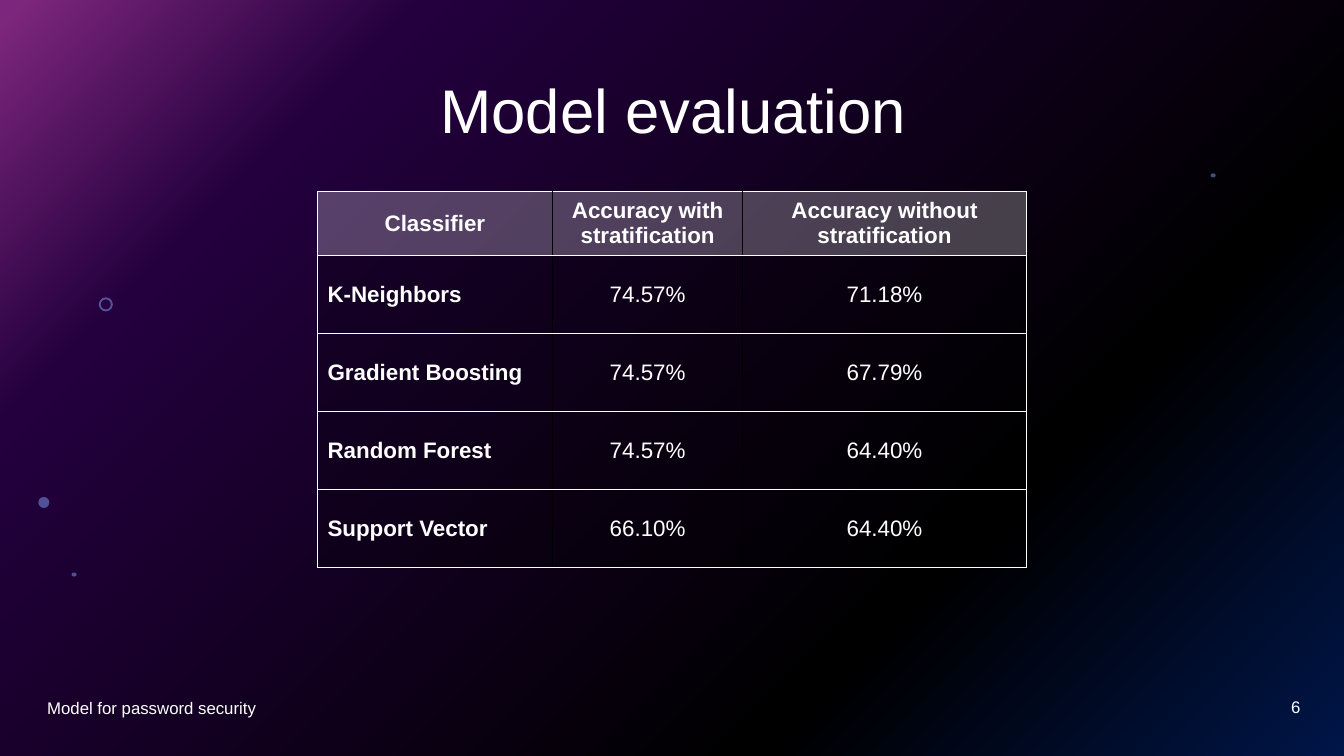
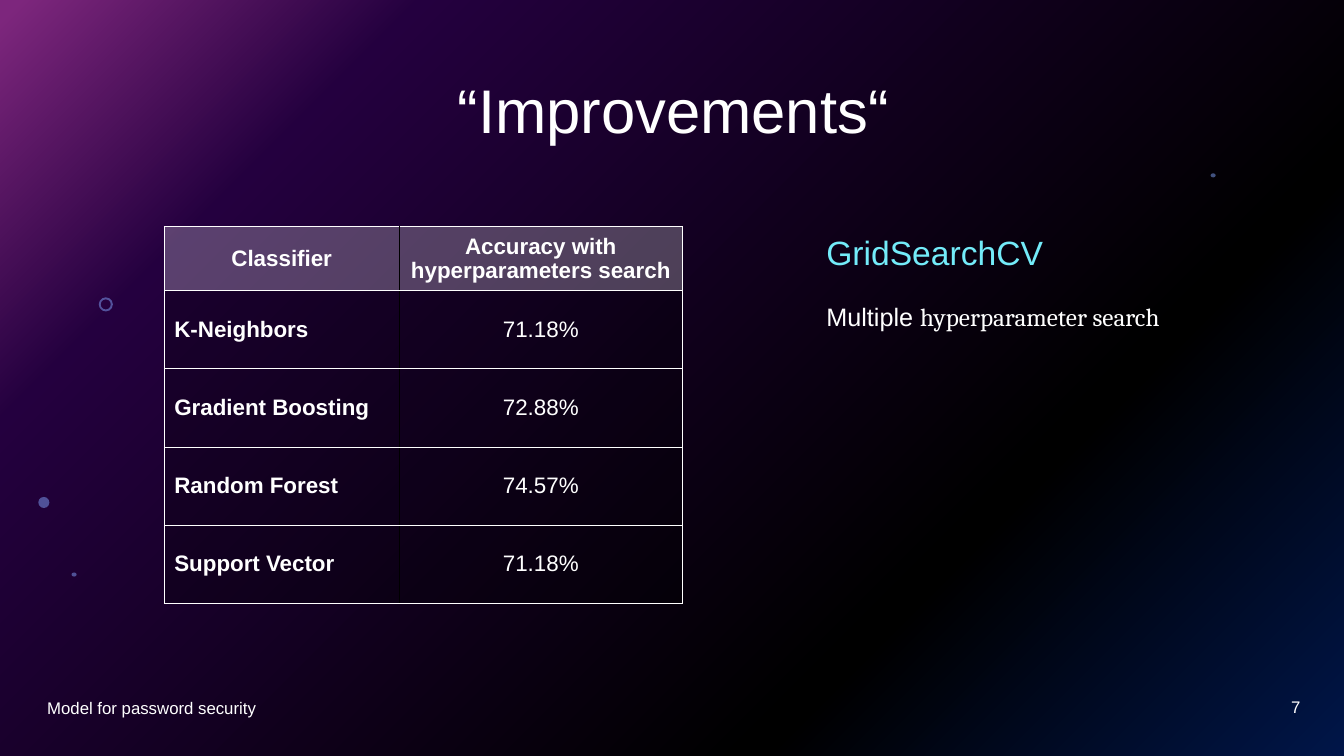
from lxml import etree
from pptx import Presentation
from pptx.dml.color import RGBColor
from pptx.enum.shapes import MSO_SHAPE
from pptx.enum.text import MSO_ANCHOR, PP_ALIGN
from pptx.oxml.ns import qn
from pptx.util import Inches, Pt

LEFT, CENTER, RIGHT = PP_ALIGN.LEFT, PP_ALIGN.CENTER, PP_ALIGN.RIGHT
MIDDLE, TOP = MSO_ANCHOR.MIDDLE, MSO_ANCHOR.TOP
RECTANGLE, OVAL, DONUT = MSO_SHAPE.RECTANGLE, MSO_SHAPE.OVAL, MSO_SHAPE.DONUT

COLORS = {
    "white": "FFFFFF", "black": "000000", "accent": "73EBF9", "dot": "83A7FD",
    "pink": "FC4EFB", "purple": "4A027F", "navy": "022D94",
}
FONT, SERIF = "Arial", "Cambria"

# Grid: ten columns and ten rows to the inch
UNIT = Inches(0.1)
COLUMNS, ROWS = 133.33, 75
HEADER_ROW, BODY_ROW = 6, 7.75
NAME_COL, NARROW_COL, WIDE_COL = 23.3, 18.9, 28.1

BACKGROUND_STOPS = [(1, "pink"), (20, "purple"), (72, "black"), (100, "navy")]
DOTS = [
    (DONUT, (9.8, 29.5, 1.4, 1.4)),
    (OVAL, (3.8, 49.3, 1.1, 1.1)),
    (OVAL, (7.1, 56.8, 0.5, 0.4)),
    (OVAL, (120.1, 17.2, 0.5, 0.4)),
]
TITLE_BOX = (9.3, 4, 115, 14.5)
FOOTER_BOX = (3.7, 68.2, 45, 4)
NUMBER_BOX = (100, 68.1, 30, 4)
FOOTER = "Model for password security"


def grid(*lengths):
    return [round(length * UNIT) for length in lengths]


def add_color(parent, color, alpha=None):
    """Append a colour, with its opacity in percent, to an XML element."""
    node = etree.SubElement(parent, qn("a:srgbClr"), val=COLORS[color])
    if alpha is not None:
        etree.SubElement(node, qn("a:alpha"), val=str(alpha * 1000))


def paint(fill, element, color, alpha):
    fill.solid()
    fill.fore_color.rgb = RGBColor.from_string(COLORS[color])
    node = element.find(".//" + qn("a:srgbClr"))
    etree.SubElement(node, qn("a:alpha"), val=str(alpha * 1000))


def write(paragraph, text, size=16, color="white", font=FONT, bold=False,
          align=LEFT, spacing=None, before=None):
    paragraph.alignment = align
    if spacing:
        paragraph.line_spacing = spacing
    if before:
        paragraph.space_before = Pt(before)
    run = paragraph.add_run()
    run.text = text
    run.font.size, run.font.name, run.font.bold = Pt(size), font, bold
    run.font.color.rgb = RGBColor.from_string(COLORS[color])


def add_text_frame(slide, box, anchor=MIDDLE):
    frame = slide.shapes.add_textbox(*grid(*box)).text_frame
    frame.word_wrap = True
    frame.vertical_anchor = anchor
    return frame


# Shared master
def add_decor(slide, kind, box, color, alpha):
    shape = slide.shapes.add_shape(kind, *grid(*box))
    shape.shadow.inherit = False
    paint(shape.fill, shape.element, color, alpha)
    shape.line.fill.background()
    if kind == DONUT:
        shape.adjustments[0] = 0.14
    return shape


def build_master(master, slide):
    """Set the gradient and move the veil and dots behind every slide."""
    fill = master.background.fill
    fill.gradient()
    fill.gradient_angle = 315
    stops = master.element.find(".//" + qn("a:gsLst"))
    for stop in list(stops):
        stops.remove(stop)
    for position, color in BACKGROUND_STOPS:
        add_color(etree.SubElement(stops, qn("a:gs"), pos=str(position * 1000)), color)

    veil = add_decor(slide, RECTANGLE, (0, 0, COLUMNS, ROWS), "black", 50)
    dots = [add_decor(slide, kind, box, "dot", 49) for kind, box in DOTS]
    tree = master.shapes.element if hasattr(master.shapes, "element") \
        else master.element.find(".//" + qn("p:spTree"))
    for index, shape in enumerate([veil] + dots, start=2):
        tree.insert(index, shape.element)


# Title and footer
def add_frame(slide, title, number):
    heading = slide.shapes.title
    heading.left, heading.top, heading.width, heading.height = grid(*TITLE_BOX)
    heading.text_frame.vertical_anchor = MIDDLE
    write(heading.text_frame.paragraphs[0], title, size=44, align=CENTER, spacing=0.9)
    write(add_text_frame(slide, FOOTER_BOX).paragraphs[0], FOOTER, size=12)
    write(add_text_frame(slide, NUMBER_BOX).paragraphs[0], str(number),
          size=12, align=RIGHT)


# Accuracy table
def set_borders(properties, borders):
    for index, (side, (color, width)) in enumerate(borders.items()):
        line = etree.Element(qn("a:ln" + side), w=str(Pt(width)))
        add_color(etree.SubElement(line, qn("a:solidFill")), color)
        properties.insert(index, line)


def add_accuracy_table(slide, origin, widths, rows):
    heights = [HEADER_ROW] + [BODY_ROW] * (len(rows) - 1)
    frame = slide.shapes.add_table(
        len(rows), len(widths), *grid(*origin, sum(widths), sum(heights)))
    table = frame.table
    table.horz_banding = False
    for column, width in zip(table.columns, grid(*widths)):
        column.width = width
    for row, height in zip(table.rows, grid(*heights)):
        row.height = height

    outer, inner, under_header = ("white", 0.5), ("black", 1), ("white", 1)
    elements = frame.element.iter(qn("a:tc"))
    for r, values in enumerate(rows):
        for c, value in enumerate(values):
            cell, element = table.cell(r, c), next(elements)
            header, name = r == 0, c == 0
            cell.vertical_anchor = MIDDLE
            write(cell.text_frame.paragraphs[0], value, bold=header or name,
                  align=LEFT if name and not header else CENTER)
            cell.fill.solid()
            properties = element.find(qn("a:tcPr"))
            paint(cell.fill, properties, "white" if header else "black", 25)
            set_borders(properties, {
                "L": outer if name else inner,
                "R": outer if c == len(widths) - 1 else inner,
                "T": under_header if r == 1 else outer,
                "B": under_header if header else outer,
            })


# Search method note
def add_search_note(slide, box):
    frame = add_text_frame(slide, box, anchor=TOP)
    write(frame.paragraphs[0], "GridSearchCV", size=24, color="accent")
    detail = frame.add_paragraph()
    write(detail, "Multiple ", size=18, before=21)
    write(detail, "hyperparameter search", size=18, font=SERIF)


def build_evaluation(slide):
    add_frame(slide, "Model evaluation", 6)
    add_accuracy_table(slide, (31.5, 19), (NAME_COL, NARROW_COL, WIDE_COL), [
        ("Classifier", "Accuracy with stratification",
         "Accuracy without stratification"),
        ("K-Neighbors", "74.57%", "71.18%"),
        ("Gradient Boosting", "74.57%", "67.79%"),
        ("Random Forest", "74.57%", "64.40%"),
        ("Support Vector", "66.10%", "64.40%"),
    ])


def build_improvements(slide):
    add_frame(slide, "“Improvements“", 7)
    add_accuracy_table(slide, (16.3, 22.5), (NAME_COL, WIDE_COL), [
        ("Classifier", "Accuracy with hyperparameters search"),
        ("K-Neighbors", "71.18%"),
        ("Gradient Boosting", "72.88%"),
        ("Random Forest", "74.57%"),
        ("Support Vector", "71.18%"),
    ])
    add_search_note(slide, (81, 22.5, 41.4, 11.1))


def main():
    deck = Presentation()
    deck.slide_width, deck.slide_height = grid(COLUMNS, ROWS)
    title_only = deck.slide_layouts[5]
    evaluation = deck.slides.add_slide(title_only)
    build_master(deck.slide_master, evaluation)
    build_evaluation(evaluation)
    build_improvements(deck.slides.add_slide(title_only))
    deck.save("out.pptx")


if __name__ == "__main__":
    main()
